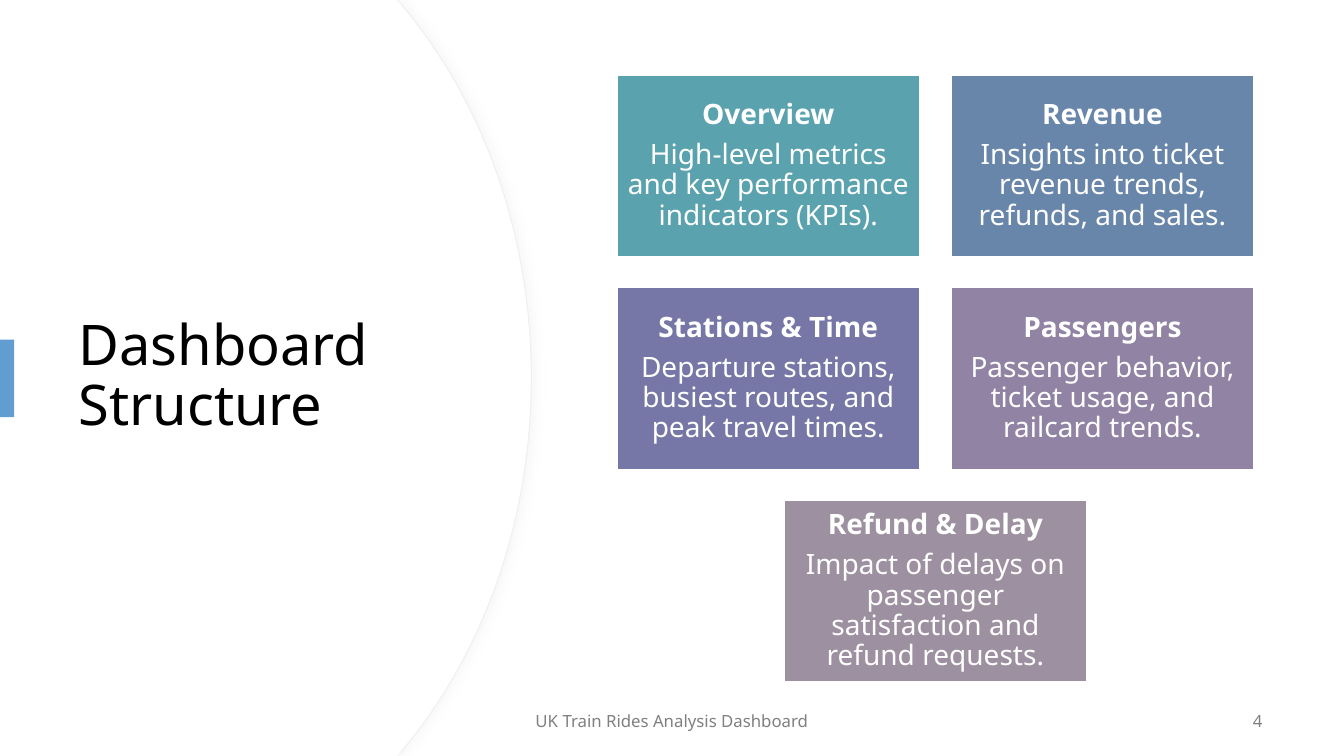
import pptx
import pptx.util
import pptx.dml.color
import pptx.enum.shapes
import pptx.enum.text
import pptx.oxml
import pptx.oxml.ns

Inches = pptx.util.Inches
Pt = pptx.util.Pt
ALIGN = pptx.enum.text.PP_ALIGN
RECTANGLE = pptx.enum.shapes.MSO_SHAPE.RECTANGLE
qn = pptx.oxml.ns.qn

FONT = "Noto Sans"
DRAWING = pptx.oxml.ns.nsdecls("a")
COLORS = {
    "white": "FFFFFF", "title": "000000", "footer": "808080",
    "rim": "EFEFEF", "shadow": "D9D9D9", "accent": "629DD1",
    "teal": "5AA2AE", "blue": "6885AA", "indigo": "7677A6",
    "purple": "9083A3", "mauve": "9D90A0",
}
SECTIONS = [
    ("Overview", "High-level metrics and key performance indicators (KPIs).", "teal"),
    ("Revenue", "Insights into ticket revenue trends, refunds, and sales.", "blue"),
    ("Stations & Time", "Departure stations, busiest routes, and peak travel times.", "indigo"),
    ("Passengers", "Passenger behavior, ticket usage, and railcard trends.", "purple"),
    ("Refund & Delay", "Impact of delays on passenger satisfaction and refund requests.", "mauve"),
]


def color(name):
    """Return the named colour."""
    return pptx.dml.color.RGBColor.from_string(COLORS[name])


def paint(shape, fill, line=None, width=0.75):
    """Give a shape a flat fill and an optional outline."""
    shape.shadow.inherit = False
    shape.fill.solid()
    shape.fill.fore_color.rgb = color(fill)
    if line:
        shape.line.color.rgb = color(line)
        shape.line.width = Pt(width)
    else:
        shape.line.fill.background()


def style(paragraph, size, ink, align, bold=False):
    """Format a paragraph and its runs."""
    paragraph.alignment = align
    for run in paragraph.runs:
        run.font.name = FONT
        run.font.size = Pt(size)
        run.font.bold = bold
        run.font.color.rgb = color(ink)


def bend(segment, controls):
    """Turn a straight segment into a cubic curve."""
    segment.tag = qn("a:cubicBezTo")
    for index, (x, y) in enumerate(controls):
        segment.insert(index, pptx.oxml.parse_xml(
            f'<a:pt {DRAWING} x="{Inches(x)}" y="{Inches(y)}"/>'))


def curved_panel(slide, left, top, width, height):
    """Draw a panel whose right side bulges outwards."""
    shoulder = width - 1.26
    corners = [(3.94, 0), (shoulder, 0.08), (width, height / 2),
               (shoulder, height - 0.08), (3.94, height), (0, height)]
    builder = slide.shapes.build_freeform(Inches(left), Inches(top))
    builder.add_line_segments(
        [(Inches(left + x), Inches(top + y)) for x, y in corners], close=True)
    panel = builder.convert_to_shape()
    segments = list(panel._element.iter(qn("a:lnTo")))
    controls = [(width - 0.48, 1.02), (width, 2.32)]
    bend(segments[2], controls)
    bend(segments[3], [(x, height - y) for x, y in reversed(controls)])
    return panel


def title_panel(slide, left, top, width, height):
    """Place the curved title region with its accent bar."""
    rim = curved_panel(slide, left, top, width, height)
    paint(rim, "white", "rim")
    effects = rim._element.spPr.find(qn("a:effectLst"))
    effects.append(pptx.oxml.parse_xml(
        f'<a:outerShdw {DRAWING} blurRad="{Pt(7)}" dist="{Pt(3)}" '
        f'dir="0" algn="l" rotWithShape="0"><a:srgbClr val="{COLORS["shadow"]}">'
        '<a:alpha val="20000"/></a:srgbClr></a:outerShdw>'))
    paint(curved_panel(slide, left, top, width - 0.01, height), "white")

    title = slide.shapes.title
    title.left, title.top = Inches(left + 0.68), Inches(top + 1.27)
    title.width, title.height = Inches(3.94), Inches(4.95)
    frame = title.text_frame
    frame.text = "Dashboard Structure"
    frame.word_wrap = True
    frame.auto_size = pptx.enum.text.MSO_AUTO_SIZE.NONE
    frame.vertical_anchor = pptx.enum.text.MSO_ANCHOR.MIDDLE
    frame.paragraphs[0].line_spacing = 0.9
    style(frame.paragraphs[0], 40, "title", ALIGN.LEFT)
    slide.shapes._spTree.append(title._element)

    accent = slide.shapes.add_shape(RECTANGLE, Inches(left), Inches(top + 3.37),
                                    Inches(0.14), Inches(0.77))
    paint(accent, "accent")


def section_card(slide, left, top, width, height, heading, summary, fill):
    """Place one card with a bold heading and a summary."""
    card = slide.shapes.add_shape(RECTANGLE, Inches(left), Inches(top),
                                  Inches(width), Inches(height))
    paint(card, fill, "white", 1.5)
    frame = card.text_frame
    frame.word_wrap = True
    frame.vertical_anchor = pptx.enum.text.MSO_ANCHOR.MIDDLE
    frame.margin_left = frame.margin_right = Inches(0.08)
    frame.margin_top = frame.margin_bottom = Inches(0.08)
    frame.text = f"{heading}\n{summary}"
    for index, paragraph in enumerate(frame.paragraphs):
        paragraph.line_spacing = 0.9
        paragraph.space_after = Pt(7)
        style(paragraph, 20, "white", ALIGN.CENTER, bold=index == 0)


def section_grid(slide, left, top, width, height):
    """Lay the cards out in two columns, centring a short last row."""
    card_width, card_height, columns = 3.01, 1.81, 2
    rows = -(-len(SECTIONS) // columns)
    step_x = width - card_width
    step_y = (height - card_height) / (rows - 1)
    for index, section in enumerate(SECTIONS):
        row, column = divmod(index, columns)
        in_row = min(columns, len(SECTIONS) - row * columns)
        indent = (columns - in_row) * step_x / 2
        section_card(slide, left + indent + column * step_x, top + row * step_y,
                     card_width, card_height, *section)


def footer_text(slide, left, top, width, height, text, align):
    """Place one piece of footer text."""
    box = slide.shapes.add_textbox(Inches(left), Inches(top), Inches(width), Inches(height))
    frame = box.text_frame
    frame.word_wrap = True
    frame.vertical_anchor = pptx.enum.text.MSO_ANCHOR.MIDDLE
    frame.text = text
    frame.paragraphs[0].space_after = Pt(6)
    style(frame.paragraphs[0], 12, "footer", align)


def main():
    """Build and save the slide."""
    deck = pptx.Presentation()
    deck.slide_width, deck.slide_height = Inches(13.33), Inches(7.5)
    slide = deck.slides.add_slide(deck.slide_layouts[5])
    slide.background.fill.solid()
    slide.background.fill.fore_color.rgb = color("white")
    title_panel(slide, 0, 0, 5.27, 7.5)
    footer_text(slide, 4.415, 6.95, 4.5, 0.4, "UK Train Rides Analysis Dashboard", ALIGN.CENTER)
    footer_text(slide, 9.62, 6.95, 3, 0.4, "4", ALIGN.RIGHT)
    section_grid(slide, 6.115, 0.74, 6.325, 6.03)
    deck.save("out.pptx")


if __name__ == "__main__":
    main()
